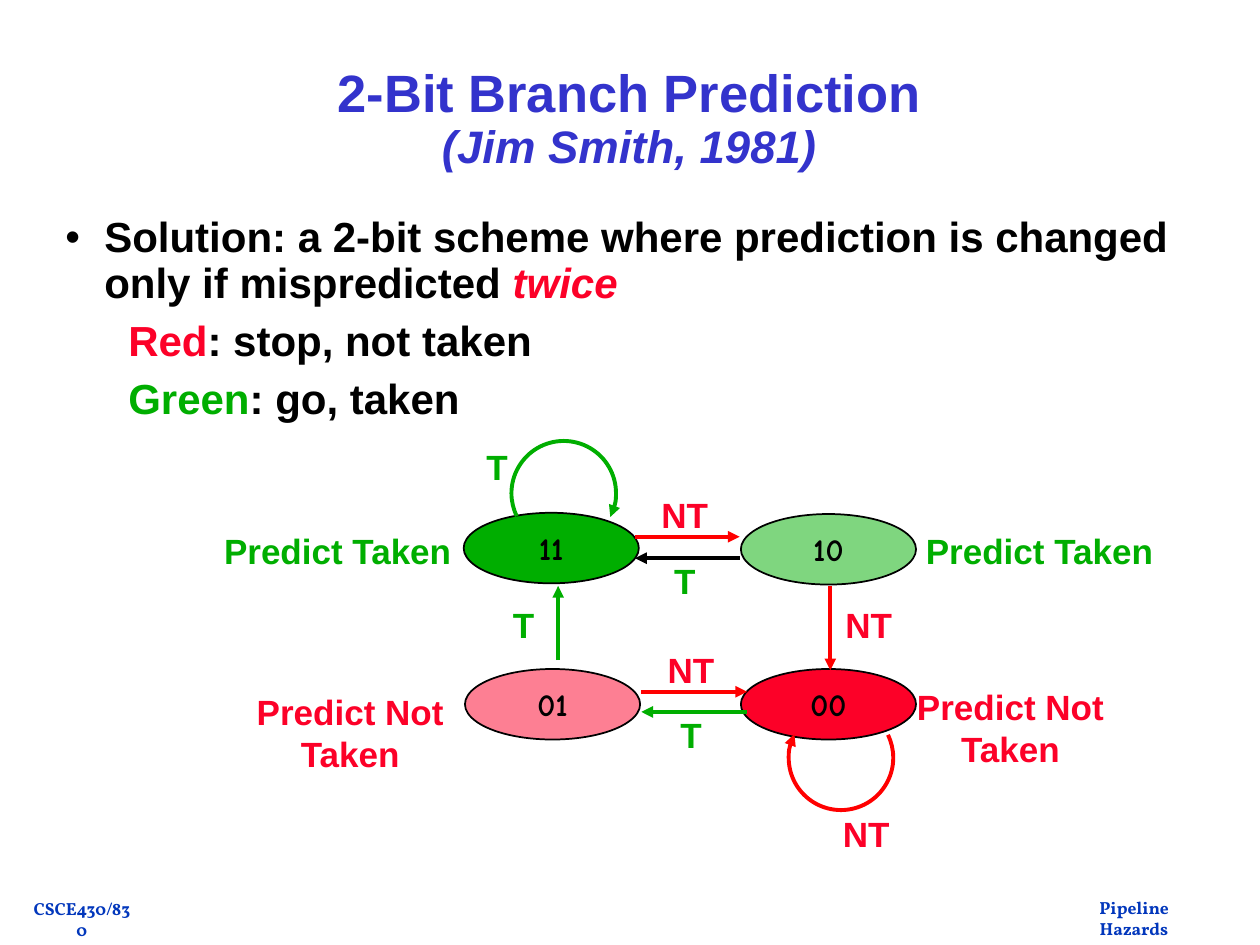
"""Build a slide on the two-bit branch prediction scheme and its state diagram."""
import pptx
import pptx.dml.color
import pptx.enum.shapes
import pptx.enum.text
import pptx.oxml.ns
import pptx.util
from lxml import etree

Inches, Pt = pptx.util.Inches, pptx.util.Pt
Align, Anchor = pptx.enum.text.PP_ALIGN, pptx.enum.text.MSO_ANCHOR
Shape = pptx.enum.shapes.MSO_SHAPE
qn = pptx.oxml.ns.qn

THEME = {
    "colours": {"title": "3333CC", "footer": "0237BC", "ink": "000000",
                "taken": "00AE00", "not taken": "FC0128", "red line": "FF0000"},
    "title": {"name": "Arial", "size": Pt(30), "bold": True},
    "subtitle": {"name": "Arial", "size": Pt(26), "bold": True, "italic": True},
    "body": {"name": "Arial", "size": Pt(24), "bold": True},
    "emphasis": {"name": "Arial", "size": Pt(24), "bold": True, "italic": True},
    "label": {"name": "Arial", "size": Pt(20), "bold": True},
    "state": {"name": "Comic Neue", "size": Pt(18), "bold": True},
    "footer": {"name": "Vollkorn", "size": Pt(10), "bold": True},
}
COLOURS = {name: pptx.dml.color.RGBColor.from_string(code)
           for name, code in THEME["colours"].items()}


def write(frame, paragraphs, wrap=True, **layout):
    """Fill a text frame with paragraphs of (text, style, colour) spans."""
    frame.word_wrap = wrap
    frame.auto_size = pptx.enum.text.MSO_AUTO_SIZE.NONE
    for number, spans in enumerate(paragraphs):
        para = frame.add_paragraph() if number else frame.paragraphs[0]
        for name, value in layout.items():
            setattr(para, name, value)
        for text, style, colour in spans:
            span = para.add_run()
            span.text = text
            for name, value in THEME[style].items():
                setattr(span.font, name, value)
            span.font.color.rgb = COLOURS[colour]


def draw_arrow(line, colour):
    """Give a line its colour and width and an arrowhead at its end."""
    line.color.rgb = COLOURS[colour]
    line.width = Pt(2.25)
    etree.SubElement(line._get_or_add_ln(), qn("a:tailEnd"), type="triangle")


deck = pptx.Presentation()
deck.slide_width, deck.slide_height = Inches(10), Inches(7.5)
page = deck.slides.add_slide(deck.slide_layouts[5])
shapes = page.shapes

title = shapes.title
title.left, title.top = Inches(1.08), Inches(0.33)
title.width, title.height = Inches(7.83), Inches(1.25)
title.text_frame.vertical_anchor = Anchor.MIDDLE
write(title.text_frame,
      [[("2-Bit Branch Prediction", "title", "title")],
       [("(Jim Smith, 1981)", "subtitle", "title")]],
      alignment=Align.CENTER, line_spacing=0.9)

body = shapes.add_textbox(Inches(0.42), Inches(1.67), Inches(9.17), Inches(1.8))
write(body.text_frame,
      [[("Solution: a 2-bit scheme where prediction is changed only if mispredicted ",
         "body", "ink"), ("twice", "emphasis", "not taken")],
       [("Red", "body", "not taken"), (": stop, not taken", "body", "ink")],
       [("Green", "body", "taken"), (": go, taken", "body", "ink")]],
      line_spacing=0.9, space_before=Pt(7.2))
for para, margin, indent in zip(body.text_frame.paragraphs,
                                (0.31, 0.75, 0.75), (-0.31, -0.25, -0.25)):
    settings = para._p.get_or_add_pPr()
    settings.set("marL", str(Inches(margin)))
    settings.set("indent", str(Inches(indent)))
bullet = body.text_frame.paragraphs[0]._p.get_or_add_pPr()
etree.SubElement(bullet, qn("a:buFont"), typeface="Arial")
etree.SubElement(bullet, qn("a:buChar"), char="•")

for text, left, top, width in (("Pipeline Hazards", 8.55, 7.07, 0.9),
                               ("CSCE430/830", 0.15, 7.08, 1)):
    box = shapes.add_textbox(Inches(left), Inches(top), Inches(width), Inches(0.4))
    write(box.text_frame, [[(text, "footer", "footer")]], alignment=Align.CENTER)

for text, left, top, colour, faded in (
        ("11", 3.68, 4.07, "taken", False), ("10", 5.88, 4.08, "taken", True),
        ("01", 3.69, 5.31, "not taken", True), ("00", 5.88, 5.31, "not taken", False)):
    state = shapes.add_shape(Shape.OVAL, Inches(left), Inches(top), Inches(1.39), Inches(0.56))
    state.shadow.inherit = False
    state.fill.solid()
    state.fill.fore_color.rgb = COLOURS[colour]
    if faded:
        tint = state._element.spPr.find(".//" + qn("a:srgbClr"))
        etree.SubElement(tint, qn("a:alpha"), val="50000")
    state.line.color.rgb = COLOURS["ink"]
    state.line.width = Pt(1)
    state.text_frame.vertical_anchor = Anchor.MIDDLE
    write(state.text_frame, [[(text, "state", "ink")]], wrap=False, alignment=Align.CENTER)

for left, top, start, end, colour in ((4.06, 3.5, 154, 27, "taken"),
                                      (6.26, 5.6, 334, 207, "red line")):
    loop = shapes.add_shape(Shape.ARC, Inches(left), Inches(top), Inches(0.83), Inches(0.83))
    loop.shadow.inherit = False
    loop.fill.background()
    for position, degrees in enumerate((start, end)):
        loop.adjustments[position] = degrees * 60000 / 100000
    draw_arrow(loop.line, colour)

for x1, y1, x2, y2, colour in (
        (5.04, 4.26, 5.87, 4.26, "red line"), (5.87, 4.43, 5.04, 4.43, "ink"),
        (5.09, 5.49, 5.93, 5.49, "red line"), (5.93, 5.65, 5.09, 5.65, "taken"),
        (4.43, 5.24, 4.43, 4.65, "taken"), (6.59, 4.65, 6.59, 5.32, "red line")):
    arrow = shapes.add_connector(pptx.enum.shapes.MSO_CONNECTOR.STRAIGHT,
                                 Inches(x1), Inches(y1), Inches(x2), Inches(y2))
    draw_arrow(arrow.line, colour)
    etree.SubElement(arrow._element.spPr, qn("a:effectLst"))

for lines, left, top, width, colour in (
        (["T"], 3.76, 3.49, 0.37, "taken"), (["T"], 3.97, 4.74, 0.37, "taken"),
        (["T"], 5.25, 4.39, 0.37, "taken"), (["T"], 5.3, 5.61, 0.37, "taken"),
        (["NT"], 5.15, 3.87, 0.57, "not taken"), (["NT"], 5.2, 5.1, 0.57, "not taken"),
        (["NT"], 6.61, 4.74, 0.57, "not taken"), (["NT"], 6.59, 6.4, 0.57, "not taken"),
        (["Predict Taken"], 1.67, 4.15, 2.02, "taken"),
        (["Predict Taken"], 7.24, 4.15, 2.02, "taken"),
        (["Predict Not", "Taken"], 1.9, 5.43, 1.76, "not taken"),
        (["Predict Not", "Taken"], 7.14, 5.39, 1.76, "not taken")):
    label = shapes.add_textbox(Inches(left), Inches(top), Inches(width),
                               Inches(0.1 + 0.33 * len(lines)))
    write(label.text_frame, [[(text, "label", colour)] for text in lines],
          wrap=False, alignment=Align.CENTER)

deck.save("out.pptx")
